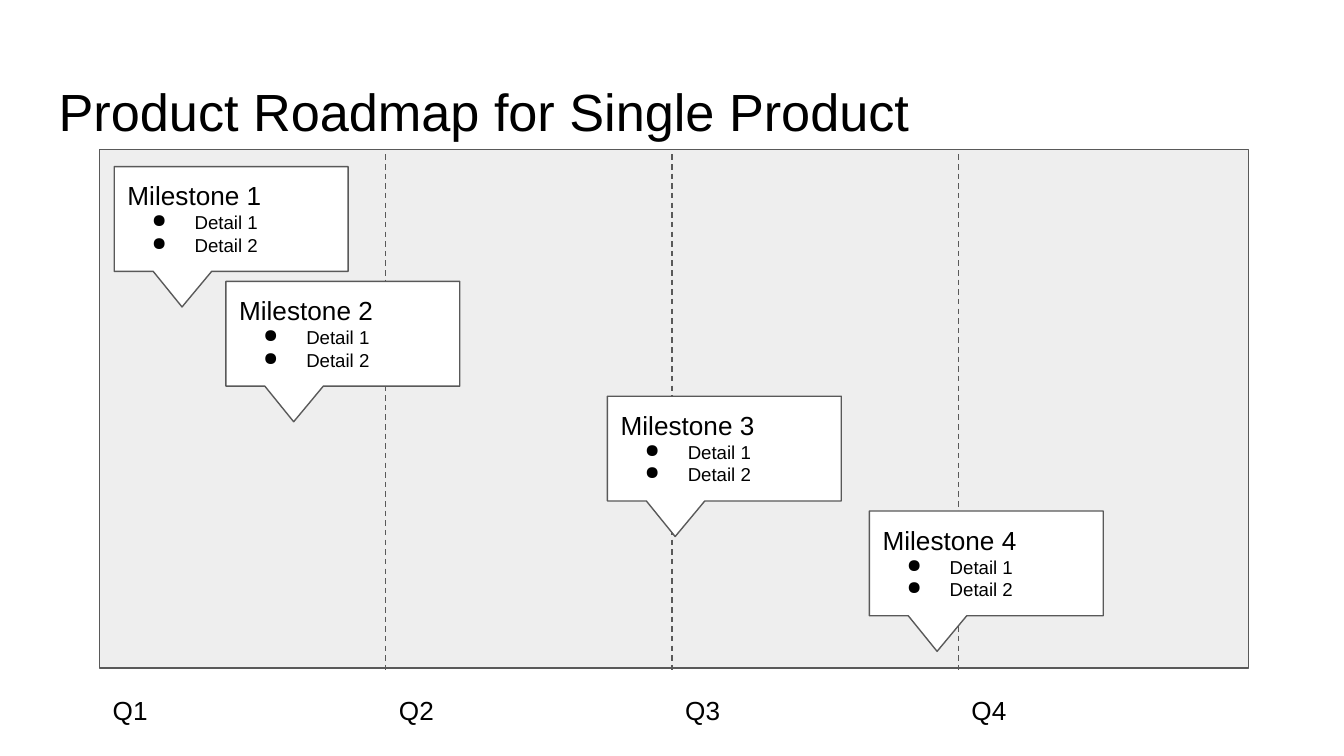
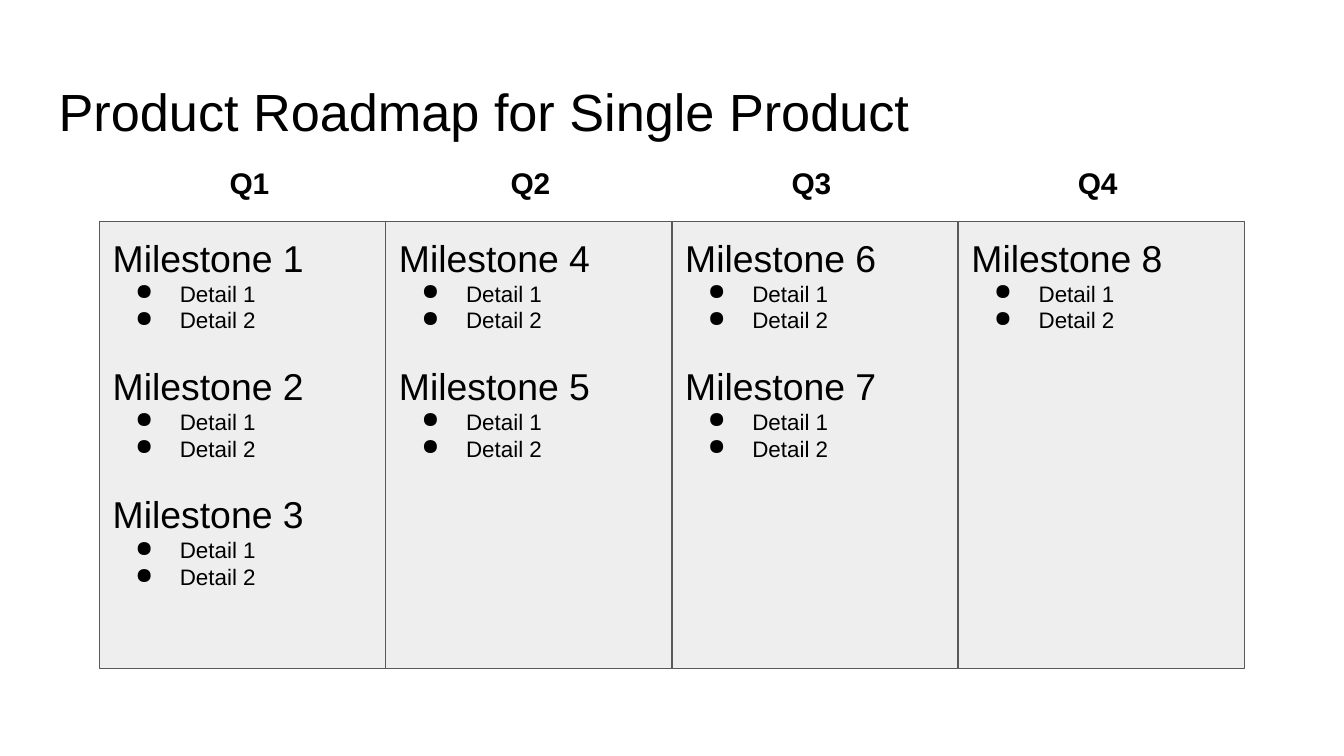
"""Build two quarterly roadmap slides for a single product."""
from dataclasses import dataclass

from lxml import etree
from pptx import Presentation
from pptx.dml.color import RGBColor
from pptx.enum.dml import MSO_LINE
from pptx.enum.shapes import MSO_CONNECTOR, MSO_SHAPE
from pptx.enum.text import MSO_ANCHOR, MSO_AUTO_SIZE, PP_ALIGN
from pptx.oxml.ns import qn
from pptx.shapes.autoshape import Shape
from pptx.slide import Slide
from pptx.text.text import TextFrame
from pptx.util import Cm, Pt

RECT = MSO_SHAPE.RECTANGLE
CALLOUT = MSO_SHAPE.RECTANGULAR_CALLOUT
STRAIGHT = MSO_CONNECTOR.STRAIGHT
DASH = MSO_LINE.DASH
TOP, BOTTOM = MSO_ANCHOR.TOP, MSO_ANCHOR.BOTTOM
LEFT = PP_ALIGN.LEFT
NO_FIT = MSO_AUTO_SIZE.NONE


@dataclass(frozen=True)
class Theme:
    """Colours, font and type sizes in points."""
    ink: RGBColor = RGBColor(0x00, 0x00, 0x00)
    edge: RGBColor = RGBColor(0x59, 0x59, 0x59)
    panel: RGBColor = RGBColor(0xEE, 0xEE, 0xEE)
    card: RGBColor = RGBColor(0xFF, 0xFF, 0xFF)
    font: str = "Arial"
    title: float = 28
    rule: float = 0.75


@dataclass(frozen=True)
class Box:
    """A place on the slide in centimetres."""
    left: float
    top: float
    width: float
    height: float

    def lengths(self) -> tuple[Cm, Cm, Cm, Cm]:
        """Return the four lengths in slide units."""
        return Cm(self.left), Cm(self.top), Cm(self.width), Cm(self.height)


@dataclass(frozen=True)
class Style:
    """Type sizes, gap and bullet hang of a milestone list."""
    head: float
    detail: float
    hang: float
    gap: float = 0


THEME = Theme()
TITLE = "Product Roadmap for Single Product"
TITLE_BOX = Box(0.86, 1.24, 23.67, 1.6)
DETAILS = ("Detail 1", "Detail 2")
QUARTERS = ("Q1", "Q2", "Q3", "Q4")
GRID_LEFT, COLUMN = 1.88, 5.41
INSET, MARGIN = 0.25, 1.27
CARD_STYLE = Style(14, 10, 0.81)
PANEL_STYLE = Style(20, 12, 0.84, 16)
CARD_LEFTS = (2.16, 4.27, 11.48, 16.43)
CARD_TOP, CARD_STEP = 3.15, 2.17
HEAD_LEFTS = (4.09, 9.4, 14.71, 20.12)
PLAN = ((1, 2, 3), (4, 5), (6, 7), (8,))


def set_frame(frame: TextFrame, anchor: MSO_ANCHOR = TOP) -> None:
    """Give a text frame its insets, wrap and anchor."""
    frame.margin_left = frame.margin_right = Cm(INSET)
    frame.margin_top = frame.margin_bottom = Cm(INSET)
    frame.auto_size = NO_FIT
    frame.word_wrap = True
    frame.vertical_anchor = anchor


def set_type(line, size: float, bold: bool = False) -> None:
    """Format the runs of one paragraph."""
    line.alignment = LEFT
    for run in line.runs:
        run.font.name = THEME.font
        run.font.size = Pt(size)
        run.font.bold = bold
        run.font.color.rgb = THEME.ink


def add_bullet(line, hang: float) -> None:
    """Give a paragraph a round bullet with a hanging indent."""
    props = line._p.get_or_add_pPr()
    props.set("marL", str(Cm(MARGIN)))
    props.set("indent", str(-Cm(hang)))
    etree.SubElement(props, qn("a:buChar")).set("char", "●")


def add_page(deck) -> Slide:
    """Add a slide with the shared title."""
    page = deck.slides.add_slide(deck.slide_layouts.get_by_name("Title Only"))
    title = page.shapes.title
    title.left, title.top, title.width, title.height = TITLE_BOX.lengths()
    frame = title.text_frame
    frame.text = TITLE
    set_frame(frame, BOTTOM)
    frame.margin_bottom = Cm(0.15)
    set_type(frame.paragraphs[0], THEME.title)
    return page


def add_label(page: Slide, text: str, left: float, top: float,
              size: float, bold: bool = False) -> None:
    """Add the name of a quarter."""
    frame = page.shapes.add_textbox(*Box(left, top, 1.4, 0.79).lengths()).text_frame
    frame.text = text
    set_frame(frame)
    set_type(frame.paragraphs[0], size, bold)


def add_block(page: Slide, kind: MSO_SHAPE, box: Box, fill: RGBColor) -> Shape:
    """Add an outlined shape."""
    block = page.shapes.add_shape(kind, *box.lengths())
    block.shadow.inherit = False
    block.fill.solid()
    block.fill.fore_color.rgb = fill
    block.line.color.rgb = THEME.edge
    block.line.width = Pt(THEME.rule)
    return block


def add_divide(page: Slide, left: float, top: float, bottom: float) -> None:
    """Add a dashed line between two quarters."""
    line = page.shapes.add_connector(
        STRAIGHT, Cm(left), Cm(top), Cm(left), Cm(bottom))
    line.line.color.rgb = THEME.edge
    line.line.width = Pt(THEME.rule)
    line.line.dash_style = DASH
    etree.SubElement(line._element.spPr, qn("a:effectLst"))


def fill_list(block: Shape, marks: tuple[int, ...], style: Style) -> None:
    """Write milestones and their details into a shape."""
    frame = block.text_frame
    frame.text = "\n".join(
        text for mark in marks for text in (f"Milestone {mark}", *DETAILS))
    set_frame(frame)
    for index, line in enumerate(frame.paragraphs):
        if index % (1 + len(DETAILS)):
            set_type(line, style.detail)
            add_bullet(line, style.hang)
        else:
            set_type(line, style.head)
            line.space_before = Pt(style.gap if index else 0)


def draw_timeline(deck) -> None:
    """Draw the roadmap with callouts on a timeline."""
    page = add_page(deck)
    add_block(page, RECT, Box(GRID_LEFT, 2.83, 21.72, 9.8), THEME.panel)
    for index, name in enumerate(QUARTERS):
        left = GRID_LEFT + index * COLUMN
        add_label(page, name, left, 12.88, 14)
        if index:
            add_divide(page, left, 2.92, 12.67)
    for index, left in enumerate(CARD_LEFTS):
        box = Box(left, CARD_TOP + index * CARD_STEP, 4.42, 1.98)
        card = add_block(page, CALLOUT, box, THEME.card)
        card.adjustments[0] = -0.21
        card.adjustments[1] = 0.84
        fill_list(card, (index + 1,), CARD_STYLE)


def draw_columns(deck) -> None:
    """Draw the roadmap with one column for each quarter."""
    page = add_page(deck)
    for index, (name, left, marks) in enumerate(zip(QUARTERS, HEAD_LEFTS, PLAN)):
        box = Box(GRID_LEFT + index * COLUMN, 4.19, COLUMN, 8.45)
        fill_list(add_block(page, RECT, box, THEME.panel), marks, PANEL_STYLE)
        add_label(page, name, left, 2.87, 16, True)


def main() -> None:
    """Build and save the deck."""
    deck = Presentation()
    deck.slide_width, deck.slide_height = Cm(25.4), Cm(14.29)
    draw_timeline(deck)
    draw_columns(deck)
    deck.save("out.pptx")


main()
